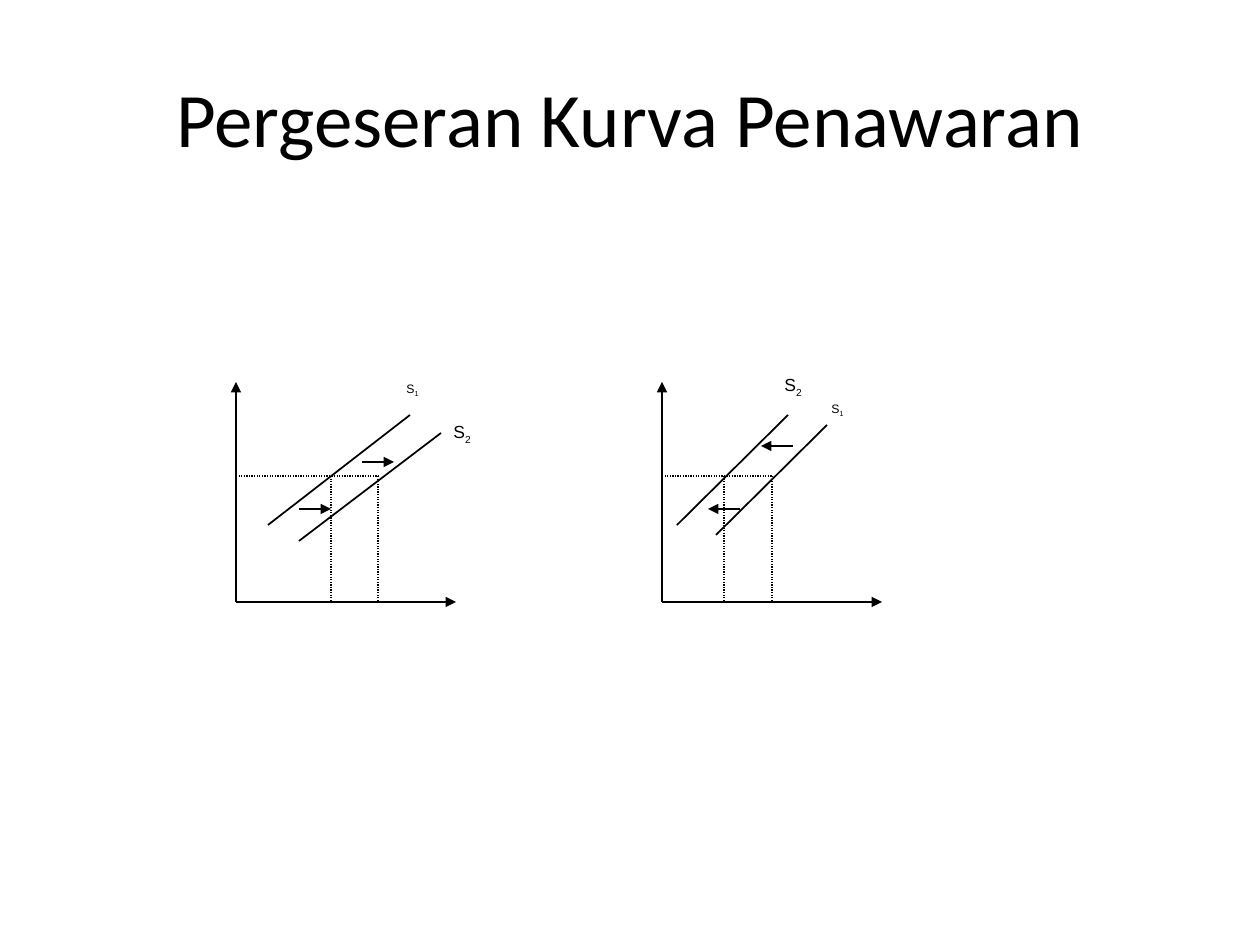
from lxml import etree
from pptx import Presentation
from pptx.dml.color import RGBColor
from pptx.enum.dml import MSO_LINE
from pptx.enum.shapes import MSO_CONNECTOR, MSO_SHAPE
from pptx.enum.text import MSO_ANCHOR, PP_ALIGN
from pptx.oxml.ns import qn
from pptx.util import Emu, Inches, Pt

STRAIGHT = MSO_CONNECTOR.STRAIGHT
RECTANGLE = MSO_SHAPE.RECTANGLE
DOTTED = MSO_LINE.ROUND_DOT
COLORS = {"ink": "000000", "paper": "FFFFFF"}
EMU_PER_PX = 914400 / 126

TITLE = "Pergeseran Kurva Penawaran"
TITLE_BOX = (63, 38, 1134, 158)
AXIS_LENGTH = 220
BASE_Y = 602
PRICE_Y = 476
SHIFT_LENGTH = 32

# shifts: arrow start; labels: subscript, size in points, line spacing, box
GRAPHS = [
    {
        "origin_x": 236,
        "quantities": [331, 378],
        "direction": 1,
        "shifts": [(362, 462), (299, 509)],
        "curves": [(268, 525, 410, 415), (299, 541, 441, 433)],
        "labels": [("1", 7, 0.8, (394, 377, 46, 31)),
                   ("2", 10, 1.0, (441, 415, 47, 44))],
    },
    {
        "origin_x": 662,
        "quantities": [724, 772],
        "direction": -1,
        "shifts": [(793, 446), (740, 509)],
        "curves": [(677, 525, 788, 415), (716, 535, 827, 425)],
        "labels": [("2", 10, 1.0, (772, 368, 46, 44)),
                   ("1", 7, 0.8, (819, 397, 47, 31))],
    },
]


def px(*values):
    return [Emu(round(value * EMU_PER_PX)) for value in values]


def color(name):
    return RGBColor.from_string(COLORS[name])


def add_line(slide, points, width=0.75, dash=None, arrow=False):
    connector = slide.shapes.add_connector(STRAIGHT, *px(*points))
    connector.line.color.rgb = color("ink")
    connector.line.width = Pt(width)
    if dash:
        connector.line.dash_style = dash
    if arrow:
        line = connector.line._get_or_add_ln()
        etree.SubElement(line, qn("a:tailEnd"), type="triangle")
    etree.SubElement(connector._element.spPr, qn("a:effectLst"))


def add_label(slide, subscript, size, spacing, box):
    shape = slide.shapes.add_shape(RECTANGLE, *px(*box))
    shape.shadow.inherit = False
    shape.fill.solid()
    shape.fill.fore_color.rgb = color("paper")
    shape.line.fill.background()
    frame = shape.text_frame
    frame.word_wrap = True
    frame.vertical_anchor = MSO_ANCHOR.TOP
    paragraph = frame.paragraphs[0]
    paragraph.alignment = PP_ALIGN.LEFT
    paragraph.line_spacing = spacing
    for text in ("S", subscript):
        run = paragraph.add_run()
        run.text = text
        run.font.name = "Arial"
        run.font.size = Pt(size)
        run.font.color.rgb = color("ink")
    run.font._element.set("baseline", "-25000")


def add_graph(slide, graph):
    left = graph["origin_x"]
    add_line(slide, (left, BASE_Y, left, BASE_Y - AXIS_LENGTH), arrow=True)
    add_line(slide, (left, BASE_Y, left + AXIS_LENGTH, BASE_Y), arrow=True)
    add_line(slide, (left, PRICE_Y, graph["quantities"][-1], PRICE_Y), dash=DOTTED)
    for x in graph["quantities"]:
        add_line(slide, (x, PRICE_Y, x, BASE_Y), dash=DOTTED)
    for label in graph["labels"]:
        add_label(slide, *label)
    for x, y in graph["shifts"]:
        end_x = x + graph["direction"] * SHIFT_LENGTH
        add_line(slide, (x, y, end_x, y), arrow=True)
    for curve in graph["curves"]:
        add_line(slide, curve, width=1)


def add_title(slide):
    title = slide.shapes.title
    title.left, title.top, title.width, title.height = px(*TITLE_BOX)
    frame = title.text_frame
    frame.text = TITLE
    frame.vertical_anchor = MSO_ANCHOR.MIDDLE
    paragraph = frame.paragraphs[0]
    paragraph.alignment = PP_ALIGN.CENTER
    font = paragraph.runs[0].font
    font.name = "Calibri"
    font.size = Pt(44)
    font.color.rgb = color("ink")


def main():
    presentation = Presentation()
    presentation.slide_width = Inches(10)
    presentation.slide_height = Inches(7.5)
    slide = presentation.slides.add_slide(presentation.slide_layouts[5])
    add_title(slide)
    for graph in GRAPHS:
        add_graph(slide, graph)
    presentation.save("out.pptx")


if __name__ == "__main__":
    main()
